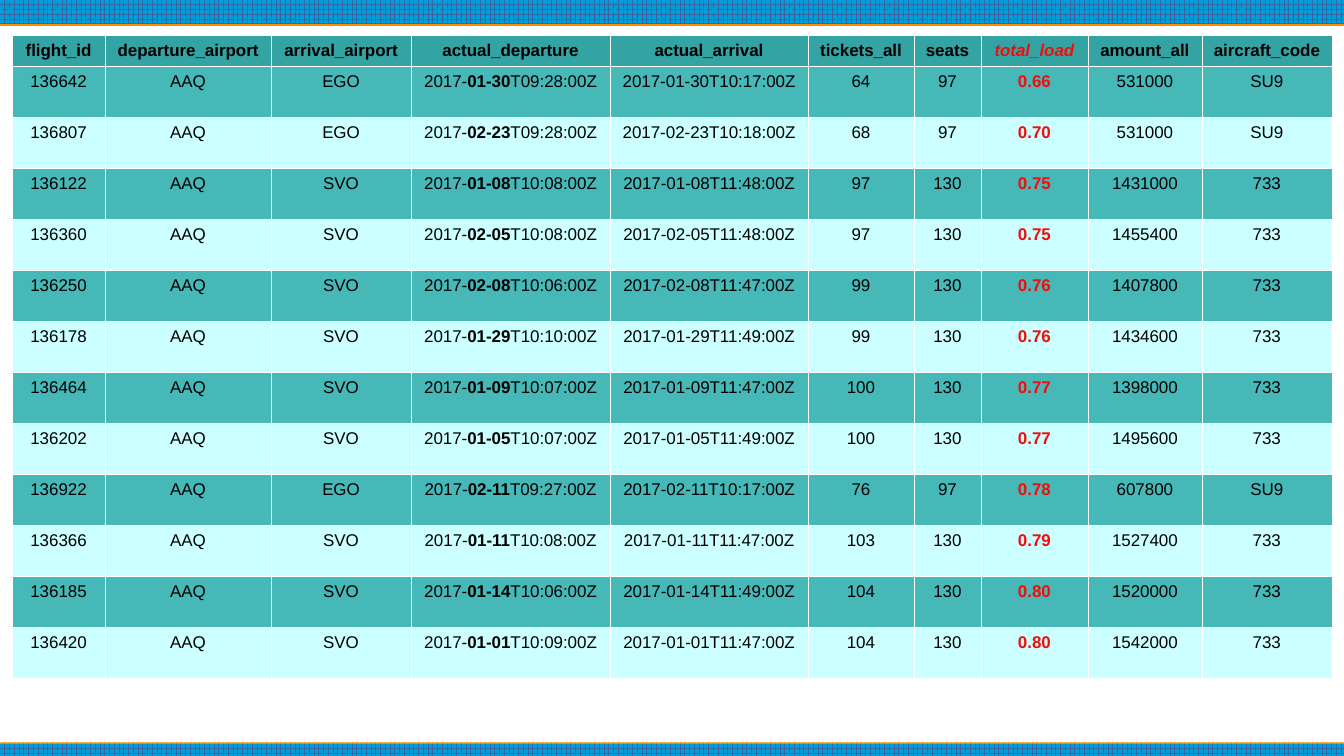
"""Build the slide with the table of least loaded flights."""
from lxml.etree import SubElement
from pptx import Presentation
from pptx.dml.color import RGBColor
from pptx.enum.dml import MSO_PATTERN
from pptx.enum.shapes import MSO_SHAPE
from pptx.enum.text import PP_ALIGN
from pptx.oxml.ns import qn
from pptx.util import Pt

HEADS = ("flight_id", "departure_airport", "arrival_airport", "actual_departure",
         "actual_arrival", "tickets_all", "seats", "total_load", "amount_all",
         "aircraft_code")
FLIGHTS = [
    ("136642", "EGO", "01-30", "09:28", "10:17", "64", "97", "0.66", "531000", "SU9"),
    ("136807", "EGO", "02-23", "09:28", "10:18", "68", "97", "0.70", "531000", "SU9"),
    ("136122", "SVO", "01-08", "10:08", "11:48", "97", "130", "0.75", "1431000", "733"),
    ("136360", "SVO", "02-05", "10:08", "11:48", "97", "130", "0.75", "1455400", "733"),
    ("136250", "SVO", "02-08", "10:06", "11:47", "99", "130", "0.76", "1407800", "733"),
    ("136178", "SVO", "01-29", "10:10", "11:49", "99", "130", "0.76", "1434600", "733"),
    ("136464", "SVO", "01-09", "10:07", "11:47", "100", "130", "0.77", "1398000", "733"),
    ("136202", "SVO", "01-05", "10:07", "11:49", "100", "130", "0.77", "1495600", "733"),
    ("136922", "EGO", "02-11", "09:27", "10:17", "76", "97", "0.78", "607800", "SU9"),
    ("136366", "SVO", "01-11", "10:08", "11:47", "103", "130", "0.79", "1527400", "733"),
    ("136185", "SVO", "01-14", "10:06", "11:49", "104", "130", "0.80", "1520000", "733"),
    ("136420", "SVO", "01-01", "10:09", "11:47", "104", "130", "0.80", "1542000", "733"),
]
WIDTHS = (93, 166, 140, 199, 198, 106, 67, 107, 114, 130)
LOAD = HEADS.index("total_load")

W, H = 1344, 756
LEFT, TOP, HEAD_H, ROW_H, PAD = 12, 35, 31, 51, 10
BARS = ((0, 24, 90), (744, 12, 270))

BLACK = RGBColor(0x00, 0x00, 0x00)
RED = RGBColor(0xF1, 0x0D, 0x0C)
WHITE = RGBColor(0xFF, 0xFF, 0xFF)
HEAD = RGBColor(0x33, 0xA3, 0xA3)
TEAL = RGBColor(0x47, 0xB8, 0xB8)
PALE = RGBColor(0xCC, 0xFF, 0xFF)
GRID = RGBColor(0x34, 0x65, 0xA4)
SKY = RGBColor(0x00, 0x9E, 0xDA)
ORANGE = RGBColor(0xF4, 0x91, 0x00)


def px(n):
    return n * 7495


def add_bar(slide, top, height, angle):
    bar = slide.shapes.add_shape(MSO_SHAPE.RECTANGLE, 0, px(top), px(W), px(height))
    bar.line.fill.background()
    bar.fill.patterned()
    bar.fill.pattern = MSO_PATTERN.LARGE_GRID
    bar.fill.fore_color.rgb = GRID
    bar.fill.back_color.rgb = SKY
    bar.shadow.inherit = False
    effects = bar._element.spPr.find(qn("a:effectLst"))
    shade = SubElement(effects, qn("a:outerShdw"), blurRad="0", dist=str(Pt(0.9)),
                       dir=str(angle * 60000), algn="ctr", rotWithShape="0")
    SubElement(shade, qn("a:srgbClr"), val=str(ORANGE))


def fill_cell(cell, parts, fill, color, bold, italic):
    props = cell._tc.get_or_add_tcPr()
    for side in "LRTB":
        line = SubElement(props, qn("a:ln" + side), w=str(Pt(0.06)))
        SubElement(SubElement(line, qn("a:solidFill")), qn("a:srgbClr"), val=str(WHITE))
    cell.fill.solid()
    cell.fill.fore_color.rgb = fill
    cell.margin_left = cell.margin_right = px(PAD)
    para = cell.text_frame.paragraphs[0]
    para.alignment = PP_ALIGN.CENTER
    for i, part in enumerate(parts):
        run = para.add_run()
        run.text = part
        font = run.font
        font.name, font.size = "Arial", Pt(10)
        font.color.rgb = color
        font.bold, font.italic = bold or i == 1, italic


def flight_row(flight):
    code, goal, day, start, end, *rest = flight
    leave = ("2017-", day, f"T{start}:00Z")
    land = f"2017-{day}T{end}:00Z"
    return [(code,), ("AAQ",), (goal,), leave, (land,), *((text,) for text in rest)]


def add_flights(slide):
    rows = [[(head,) for head in HEADS], *map(flight_row, FLIGHTS)]
    height = HEAD_H + ROW_H * len(FLIGHTS)
    table = slide.shapes.add_table(len(rows), len(HEADS), px(LEFT), px(TOP),
                                   px(sum(WIDTHS)), px(height)).table
    table.first_row = table.horz_banding = False
    for col, width in zip(table.columns, WIDTHS):
        col.width = px(width)
    for r, row in enumerate(rows):
        top = r == 0
        table.rows[r].height = px(HEAD_H if top else ROW_H)
        fill = HEAD if top else TEAL if r % 2 else PALE
        for c, parts in enumerate(row):
            load = c == LOAD
            fill_cell(table.cell(r, c), parts, fill, RED if load else BLACK,
                      top or load, top and load)


def main():
    deck = Presentation()
    deck.slide_width, deck.slide_height = px(W), px(H)
    slide = deck.slides.add_slide(deck.slide_layouts[6])
    for bar in BARS:
        add_bar(slide, *bar)
    add_flights(slide)
    deck.save("out.pptx")


if __name__ == "__main__":
    main()
